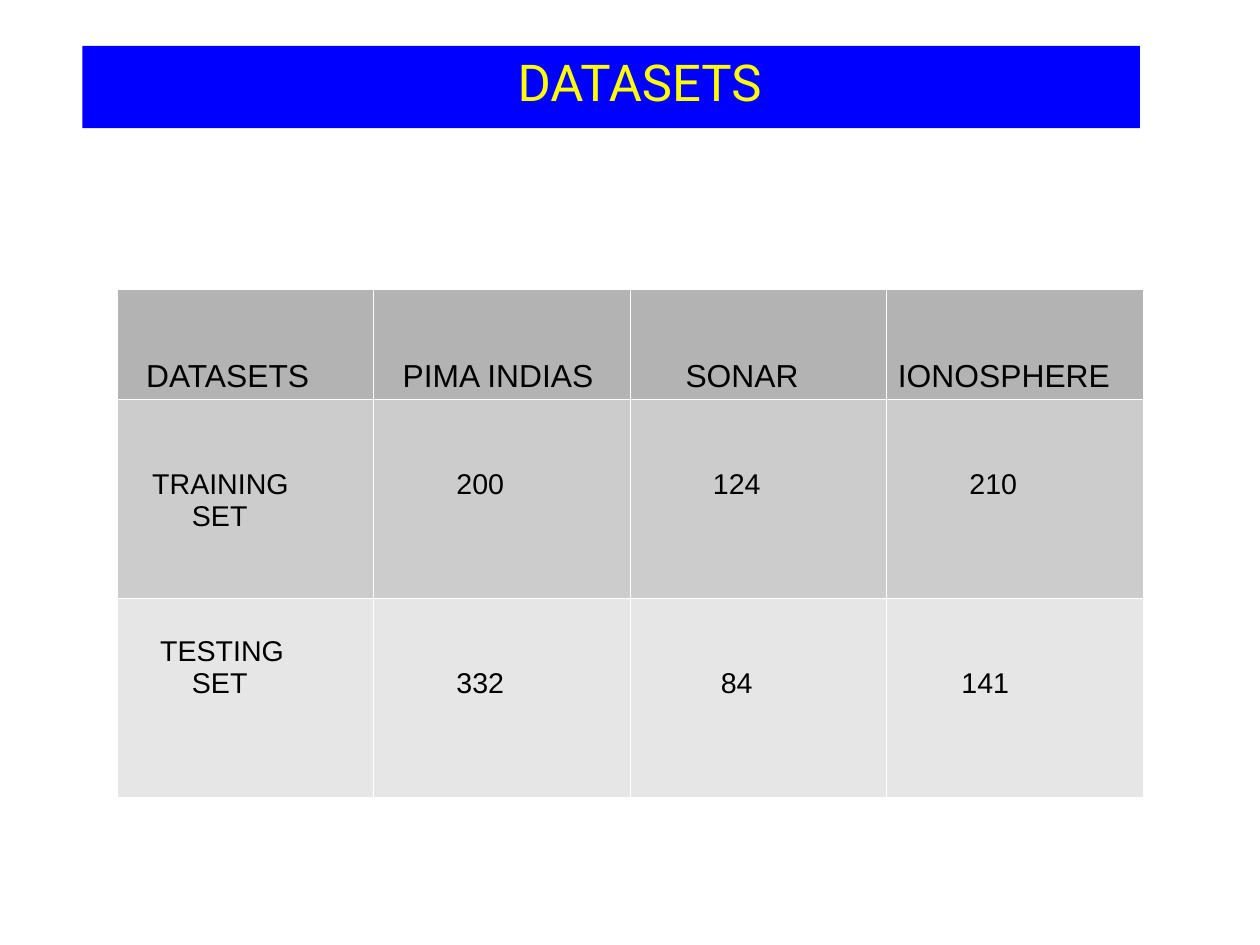
"""Build the slide that lists the sizes of the training and testing sets."""
from dataclasses import dataclass

import lxml.etree
import pptx
import pptx.dml.color
import pptx.enum.text
import pptx.oxml.ns
import pptx.util
from pptx.util import Cm


@dataclass(frozen=True)
class Theme:
    title_font: str = "Roboto"
    table_font: str = "Arial"
    title_size: int = 32
    title_leading: int = 36
    header_size: int = 20
    body_size: int = 18
    title_fill: str = "0000FF"
    title_ink: str = "FFFF00"
    table_ink: str = "000000"
    border: str = "FFFFFF"
    border_width: float = 0.06


@dataclass(frozen=True)
class Entry:
    text: str
    indent: int


@dataclass(frozen=True)
class Row:
    height: float
    size: int
    fill: str
    cells: list[list[Entry]]


THEME = Theme()
COLUMN_WIDTH = 5.7
LINE_HEIGHT = 0.72
TEXT_TOP = 1.55
INDENT_PER_POINT = 0.0098

ROWS = [
    Row(2.44, THEME.header_size, "B3B3B3", [
        [Entry("DATASETS", 2)], [Entry("PIMA INDIAS", 2)],
        [Entry("SONAR", 5)], [Entry("IONOSPHERE", 0)]]),
    Row(4.42, THEME.body_size, "CCCCCC", [
        [Entry("TRAINING", 3), Entry("SET", 8)],
        [Entry("200", 9)], [Entry("124", 9)], [Entry("210", 9)]]),
    Row(4.42, THEME.body_size, "E6E6E6", [
        [Entry("TESTING", 4), Entry("SET", 8)],
        [Entry("332", 9)], [Entry("84", 10)], [Entry("141", 8)]]),
]


def rgb(value: str) -> pptx.dml.color.RGBColor:
    return pptx.dml.color.RGBColor.from_string(value)


def style_text(paragraph, font: str, size: int, ink: str) -> None:
    for span in paragraph.runs:
        span.font.name = font
        span.font.size = pptx.util.Pt(size)
        span.font.color.rgb = rgb(ink)
        span.font.bold = False


def set_indent(paragraph, length: int) -> None:
    properties = paragraph._p.get_or_add_pPr()
    properties.set("marL", str(length))
    properties.set("indent", "0")


def draw_title(page, text: str) -> None:
    title = page.shapes.title
    title.left, title.top, title.width, title.height = Cm(1.83), Cm(1.02), Cm(23.5), Cm(1.83)
    title.fill.solid()
    title.fill.fore_color.rgb = rgb(THEME.title_fill)
    frame = title.text_frame
    frame.text = text
    frame.auto_size = pptx.enum.text.MSO_AUTO_SIZE.NONE
    frame.vertical_anchor = pptx.enum.text.MSO_ANCHOR.TOP
    frame.margin_top = Cm(0.2)
    para = frame.paragraphs[0]
    para.alignment = pptx.enum.text.PP_ALIGN.CENTER
    para.line_spacing = pptx.util.Pt(THEME.title_leading)
    para.space_before = pptx.util.Pt(0)
    set_indent(para, Cm(1.27))
    style_text(para, THEME.title_font, THEME.title_size, THEME.title_ink)


def draw_borders(cell) -> None:
    properties = cell._tc.get_or_add_tcPr()
    for side in ("a:lnL", "a:lnR", "a:lnT", "a:lnB"):
        line = lxml.etree.SubElement(properties, pptx.oxml.ns.qn(side))
        line.set("w", str(int(pptx.util.Pt(THEME.border_width))))
        fill = lxml.etree.SubElement(line, pptx.oxml.ns.qn("a:solidFill"))
        lxml.etree.SubElement(fill, pptx.oxml.ns.qn("a:srgbClr")).set("val", THEME.border)


def fill_cell(cell, row: Row, entries: list[Entry], top: float) -> None:
    draw_borders(cell)
    cell.fill.solid()
    cell.fill.fore_color.rgb = rgb(row.fill)
    cell.margin_top, cell.margin_bottom = Cm(top), Cm(0.05)
    cell.text_frame.text = "\n".join(entry.text for entry in entries)
    for para, entry in zip(cell.text_frame.paragraphs, entries):
        set_indent(para, Cm(entry.indent * row.size * INDENT_PER_POINT))
        style_text(para, THEME.table_font, row.size, THEME.table_ink)


def draw_table(page, rows: list[Row]) -> None:
    columns = len(rows[0].cells)
    height = sum(row.height for row in rows)
    table = page.shapes.add_table(len(rows), columns, Cm(2.6), Cm(6.43),
                                  Cm(columns * COLUMN_WIDTH), Cm(height)).table
    table.first_row = table.horz_banding = False
    for column in table.columns:
        column.width = Cm(COLUMN_WIDTH)
    for row_index, row in enumerate(rows):
        table.rows[row_index].height = Cm(row.height)
        for column_index, entries in enumerate(row.cells):
            raised = row is rows[-1] and len(entries) > 1
            top = TEXT_TOP - LINE_HEIGHT if raised else TEXT_TOP
            fill_cell(table.cell(row_index, column_index), row, entries, top)


def main() -> None:
    deck = pptx.Presentation()
    deck.slide_width, deck.slide_height = Cm(28), Cm(21)
    page = deck.slides.add_slide(deck.slide_layouts[5])
    draw_title(page, "DATASETS")
    draw_table(page, ROWS)
    deck.save("out.pptx")


main()
